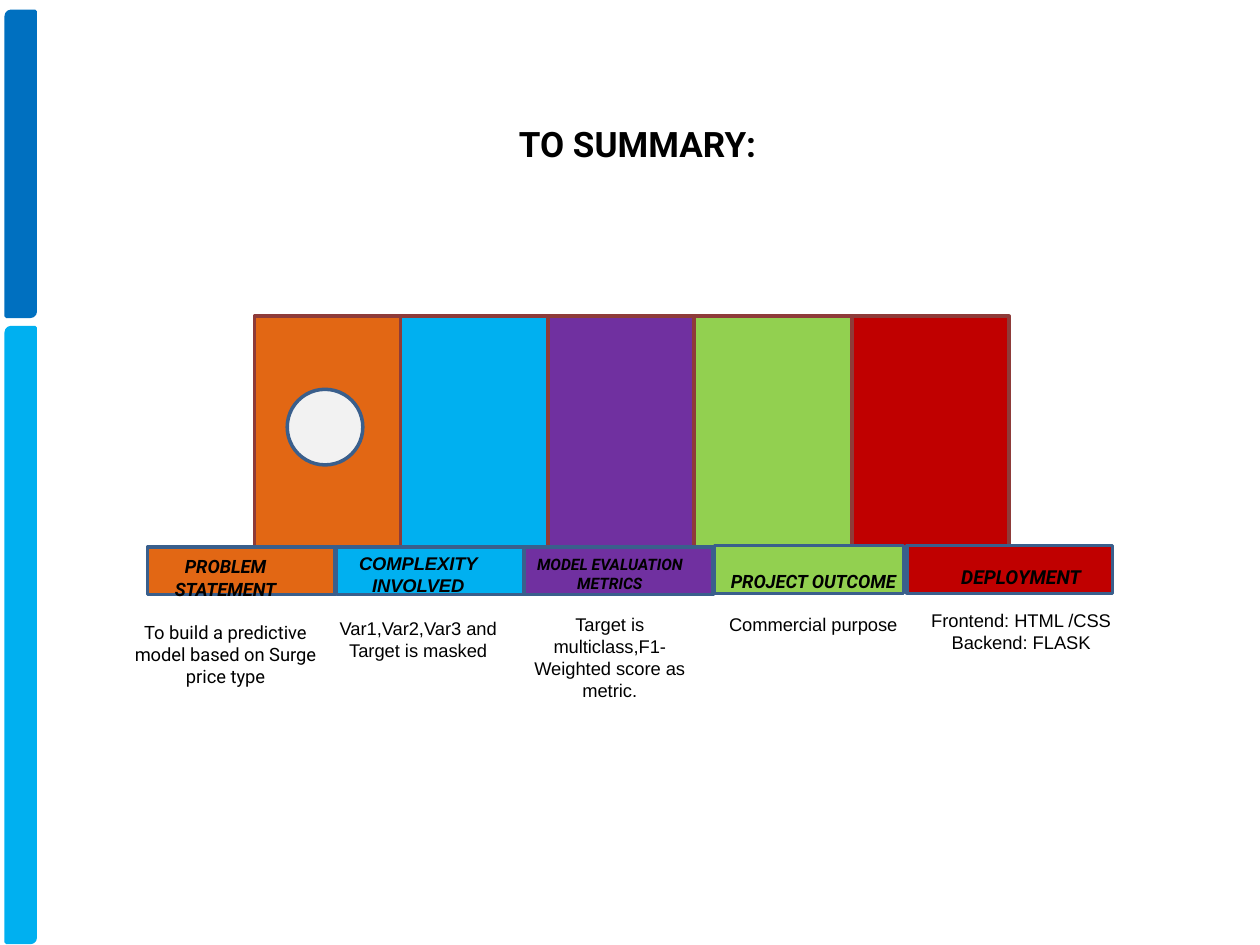
import pptx
import pptx.util
import pptx.dml.color
import pptx.enum.shapes
import pptx.enum.text

Inches = pptx.util.Inches
Pt = pptx.util.Pt
RGBColor = pptx.dml.color.RGBColor
Shape = pptx.enum.shapes.MSO_SHAPE

BLACK = RGBColor(0x00, 0x00, 0x00)
BLUE = RGBColor(0x00, 0x70, 0xC0)
SKY = RGBColor(0x00, 0xB0, 0xF0)
ORANGE = RGBColor(0xE2, 0x67, 0x14)
PURPLE = RGBColor(0x70, 0x30, 0xA0)
GREEN = RGBColor(0x92, 0xD0, 0x50)
RED = RGBColor(0xC0, 0x00, 0x00)
PALE = RGBColor(0xF2, 0xF2, 0xF2)
BROWN_LINE = RGBColor(0x8E, 0x3B, 0x39)
BLUE_LINE = RGBColor(0x3A, 0x5F, 0x8C)
TOPIC_COLORS = [ORANGE, SKY, PURPLE, GREEN, RED]

# Bar box, text box, heading (words, font, size), body font and lines
TOPICS = [
    ((1.17, 4.34, 1.49, 0.38), (0.97, 4.27, 1.64, 1.32),
     ("PROBLEM STATEMENT", "Roboto", 10.5),
     "Roboto", ["To build a predictive model based on Surge price type"]),
    ((2.67, 4.34, 1.49, 0.38), (2.5, 4.32, 1.64, 0.99),
     ("COMPLEXITY INVOLVED", "Arial", 10.5),
     "Arial", ["Var1,Var2,Var3 and Target is masked"]),
    ((4.16, 4.34, 1.5, 0.38), (4.02, 4.49, 1.64, 0.99),
     ("MODEL EVALUATION METRICS", "Roboto", 9),
     "Arial", ["Target is multiclass,F1-Weighted score as metric."]),
    ((5.67, 4.33, 1.5, 0.38), (5.63, 4.29, 1.65, 0.98),
     ("PROJECT OUTCOME", "Roboto", 10.5),
     "Arial", ["Commercial purpose"]),
    ((7.2, 4.33, 1.63, 0.38), (7.28, 4.33, 1.65, 1.01),
     ("DEPLOYMENT", "Roboto", 11),
     "Arial", ["Frontend: HTML /CSS", "Backend: FLASK"]),
]


def add_block(page, kind, box, fill, line):
    block = page.shapes.add_shape(kind, *map(Inches, box))
    block.shadow.inherit = False
    block.fill.solid()
    block.fill.fore_color.rgb = fill
    block.line.color.rgb = line
    block.line.width = Pt(2)
    return block


def write(para, words, font, size, bold=False, italic=False):
    para.text = words
    para.alignment = pptx.enum.text.PP_ALIGN.CENTER
    para.font.name = font
    para.font.size = Pt(size)
    para.font.bold = bold
    para.font.italic = italic
    para.font.color.rgb = BLACK


def place_title(page, box):
    title = page.shapes.title
    title.left, title.top, title.width, title.height = map(Inches, box)
    title.text_frame.vertical_anchor = pptx.enum.text.MSO_ANCHOR.MIDDLE
    write(title.text_frame.paragraphs[0], "TO SUMMARY:", "Roboto", 20, bold=True)


def add_side_bars(page, left, width):
    for top, height, color in [(0.09, 2.42, BLUE), (2.6, 4.88, SKY)]:
        bar = add_block(page, Shape.ROUND_2_DIAG_RECTANGLE,
                        (left, top, width, height), color, color)
        bar.adjustments[0] = 0.167
        bar.adjustments[1] = 0


def add_panels(page, top, height):
    for left, color in zip([2.02, 3.18, 4.35, 5.51, 6.76], TOPIC_COLORS):
        add_block(page, Shape.RECTANGLE, (left, top, 1.25, height),
                  color, BROWN_LINE)


def add_topic_text(page, box, heading, body_font, lines):
    frame = page.shapes.add_textbox(*map(Inches, box)).text_frame
    frame.word_wrap = True
    frame.vertical_anchor = pptx.enum.text.MSO_ANCHOR.MIDDLE
    frame.margin_left = frame.margin_right = Inches(0.09)
    write(frame.paragraphs[0], *heading, bold=True, italic=True)
    for words in lines:
        write(frame.add_paragraph(), words, body_font, 10.5)
    frame.paragraphs[1].space_before = Pt(12)


def main():
    deck = pptx.Presentation()
    deck.slide_width, deck.slide_height = Inches(10), Inches(7.5)
    page = deck.slides.add_slide(deck.slide_layouts[5])

    place_title(page, (2.95, 0.76, 4.22, 0.76))
    add_side_bars(page, 0.05, 0.23)
    add_panels(page, 2.51, 2.02)

    # Heading bars first, so that the texts lie above all of them
    for topic, color in zip(TOPICS, TOPIC_COLORS):
        add_block(page, Shape.RECTANGLE, topic[0], color, BLUE_LINE)
    for topic in TOPICS:
        add_topic_text(page, *topic[1:])

    # Disc on the first panel
    add_block(page, Shape.OVAL, (2.28, 3.09, 0.6, 0.6), PALE, BLUE_LINE)
    deck.save("out.pptx")


if __name__ == "__main__":
    main()
